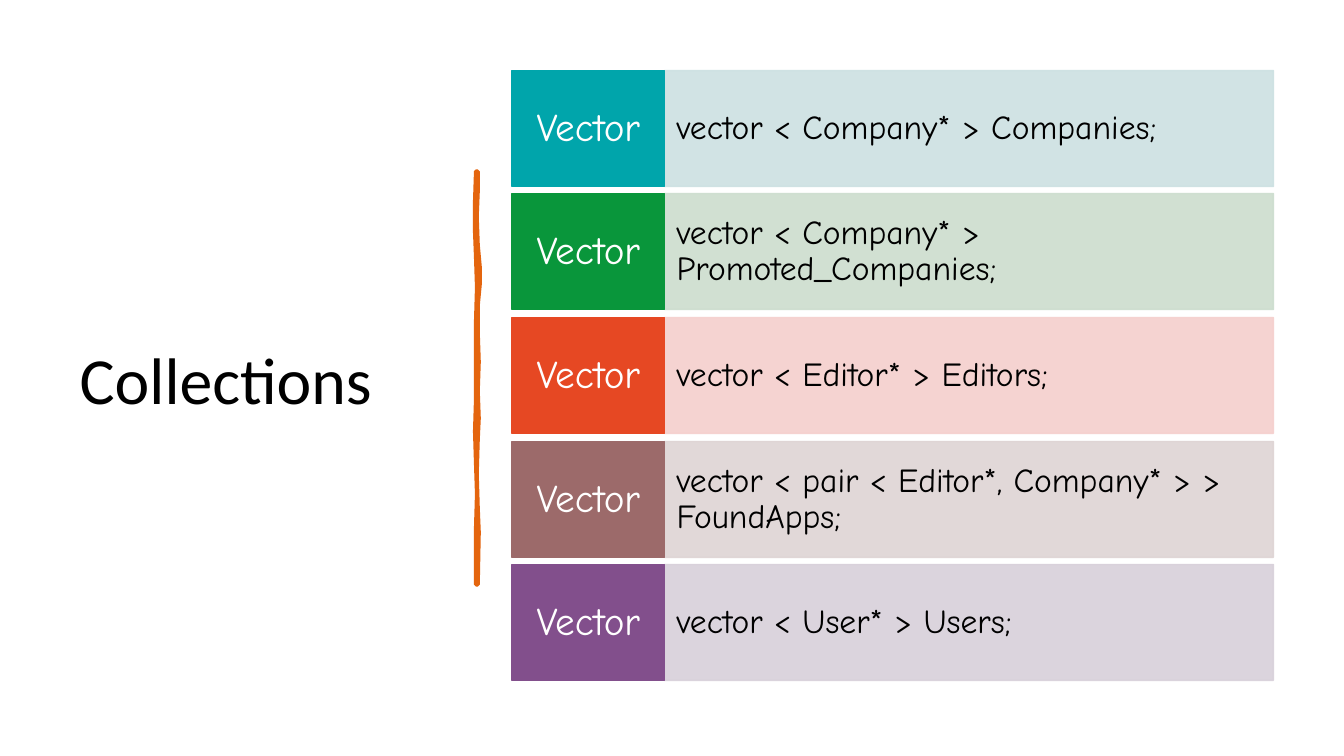
import pptx
import pptx.util
import pptx.dml.color
import pptx.enum.shapes
import pptx.enum.text
import pptx.oxml
import pptx.oxml.ns
from dataclasses import dataclass

PX = 9144  # EMU per px, 100 px to the inch
ALIGN = pptx.enum.text.PP_ALIGN


@dataclass(frozen=True)
class Theme:
    title_font: str = "Calibri"
    body_font: str = "Comic Neue"
    title_size: int = 47
    label_size: int = 28
    code_size: int = 24
    background: str = "FFFFFF"
    dark: str = "000000"
    light: str = "FFFFFF"
    accent: str = "E4650E"


@dataclass(frozen=True)
class Box:
    left: int
    top: int
    width: int
    height: int

    def emu(self):
        return [side * PX for side in (self.left, self.top, self.width, self.height)]


THEME = Theme()
LABEL = "Vector"
# Code, label colour, panel colour
COLLECTIONS = [
    ("vector < Company* > Companies;", "00A5AB", "CCE1E2"),
    ("vector < Company* > Promoted_Companies;", "09963B", "CCDDCE"),
    ("vector < Editor* > Editors;", "E64823", "F5CFCD"),
    ("vector < pair < Editor*, Company* > > FoundApps;", "9C6A6A", "DED4D4"),
    ("vector < User* > Users;", "824F8C", "D8D0DA"),
]
# Brush edges: (sideways drift, distance down)
RIGHT_EDGE = [(2, 0), (2, 20), (1, 45), (2, 73), (4, 95), (4, 112), (2, 133), (2, 160),
              (3, 189), (2, 218), (3, 245), (2, 266), (1, 300), (2, 334), (3, 358), (2, 410)]
LEFT_EDGE = [(0, 410), (0, 375), (0, 354), (1, 320), (0, 290), (-1, 258), (0, 226), (0, 190),
             (0, 149), (1, 115), (0, 85), (-1, 60), (-1, 30), (0, 0)]


def rgb(colour):
    return pptx.dml.color.RGBColor.from_string(colour)


def set_values(target, values):
    for name, value in values.items():
        setattr(target, name, value)


def write_text(shape, text, font, size, colour, align, inset_x, inset_y):
    frame = shape.text_frame
    frame.text = text
    set_values(frame, {
        "word_wrap": True,
        "auto_size": pptx.enum.text.MSO_AUTO_SIZE.NONE,
        "vertical_anchor": pptx.enum.text.MSO_ANCHOR.MIDDLE,
        "margin_left": inset_x * PX, "margin_right": inset_x * PX,
        "margin_top": inset_y * PX, "margin_bottom": inset_y * PX,
    })
    para = frame.paragraphs[0]
    para.alignment = align
    span = para.runs[0]
    set_values(span.font, {"name": font, "size": pptx.util.Pt(size)})
    span.font.color.rgb = rgb(colour)
    return para


def paint(shape, colour, line_width, opacity=100):
    shape.shadow.inherit = False
    shape.fill.solid()
    shape.line.fill.solid()
    shape.line.width = pptx.util.Pt(line_width)
    for fill in (shape.fill, shape.line.fill):
        fill.fore_color.rgb = rgb(colour)
    if opacity < 100:
        for tone in shape._element.spPr.iter(pptx.oxml.ns.qn("a:srgbClr")):
            alpha = pptx.oxml.parse_xml(
                f'<a:alpha {pptx.oxml.ns.nsdecls("a")} val="{opacity * 1000}"/>')
            tone.append(alpha)


def add_title(page, box, text):
    title = page.shapes.title
    set_values(title, dict(zip(("left", "top", "width", "height"), box.emu())))
    write_text(title, text, THEME.title_font, THEME.title_size, THEME.dark, ALIGN.LEFT, 10, 5)


def add_brush_line(page, box):
    points = [(box.left + drift, box.top + down) for drift, down in RIGHT_EDGE + LEFT_EDGE]
    builder = page.shapes.build_freeform(*points[0], scale=PX)
    builder.add_line_segments(points[1:], close=True)
    paint(builder.convert_to_shape(), THEME.accent, 2.75)


def add_cell(page, box, text, size, text_colour, align, insets, colour, opacity):
    cell = page.shapes.add_shape(pptx.enum.shapes.MSO_SHAPE.RECTANGLE, *box.emu())
    paint(cell, colour, 1, opacity)
    para = write_text(cell, text, THEME.body_font, size, text_colour, align, *insets)
    para.line_spacing = 0.9


def add_collections(page, box, row_height, label_width):
    pitch = (box.height - row_height) / (len(COLLECTIONS) - 1)
    for index, (code, label_colour, panel_colour) in enumerate(COLLECTIONS):
        top = box.top + round(index * pitch)
        panel = Box(box.left + label_width, top, box.width - label_width, row_height)
        label = Box(box.left, top, label_width, row_height)
        add_cell(page, panel, code, THEME.code_size, THEME.dark, ALIGN.LEFT,
                 (12, 29), panel_colour, 90)
        add_cell(page, label, LABEL, THEME.label_size, THEME.light, ALIGN.CENTER,
                 (8, 11), label_colour, 100)


def main():
    deck = pptx.Presentation()
    set_values(deck, {"slide_width": 1333 * PX, "slide_height": 750 * PX})
    page = deck.slides.add_slide(deck.slide_layouts[5])
    page.background.fill.solid()
    page.background.fill.fore_color.rgb = rgb(THEME.background)

    # Heading on the left, brush stroke, then the coloured rows
    add_title(page, Box(69, 70, 374, 611), "Collections")
    add_brush_line(page, Box(472, 170, 2, 410))
    add_collections(page, Box(508, 70, 755, 605), row_height=115, label_width=151)

    deck.save("out.pptx")


if __name__ == "__main__":
    main()
